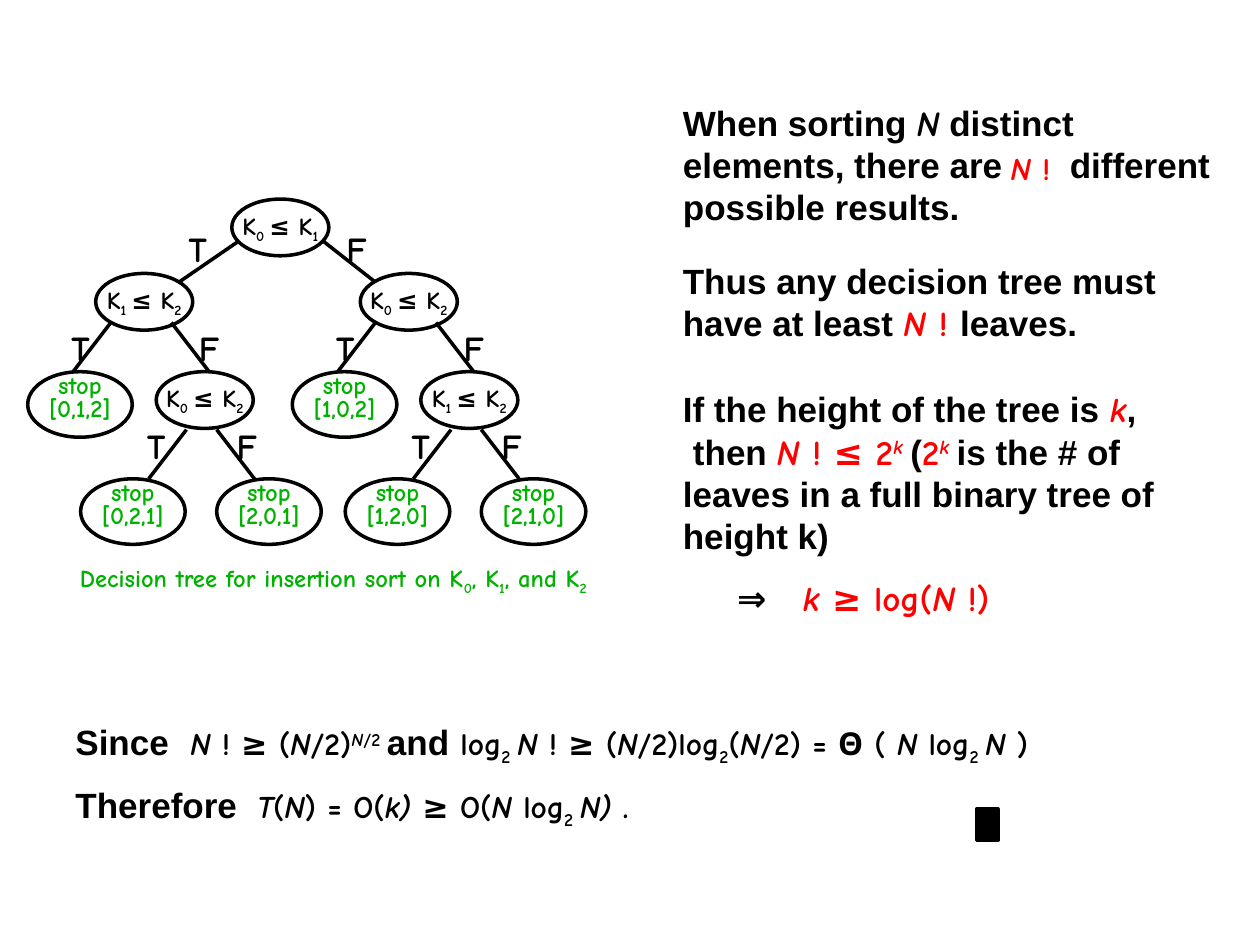
from lxml import etree
from pptx import Presentation
from pptx.dml.color import RGBColor
from pptx.enum.shapes import MSO_CONNECTOR, MSO_SHAPE
from pptx.enum.text import MSO_ANCHOR, MSO_AUTO_SIZE, PP_ALIGN
from pptx.oxml.ns import qn
from pptx.util import Pt

PX = 9144  # 100 px to the inch
COLORS = {"black": "000000", "green": "00B200", "red": "FF0000"}
BASELINES = {"_": "-25000", "^": "30000"}
CENTER, MIDDLE, TOP = PP_ALIGN.CENTER, MSO_ANCHOR.MIDDLE, MSO_ANCHOR.TOP
GROW, FIXED = MSO_AUTO_SIZE.SHAPE_TO_FIT_TEXT, MSO_AUTO_SIZE.NONE
OVAL, RECTANGLE, STRAIGHT = MSO_SHAPE.OVAL, MSO_SHAPE.RECTANGLE, MSO_CONNECTOR.STRAIGHT


def rgb(name):
    return RGBColor.from_string(COLORS[name])


def write(shape, lines, size, color="black", insets=(10, 5, 10, 5), anchor=MIDDLE,
          wrap=False, auto_size=FIXED, alignment=CENTER, spacing=None, tab=None):
    """Each line is a list of (text, flags): A Arial, i italic, r red, _ sub, ^ super."""
    frame = shape.text_frame
    left, top, right, bottom = (inset * PX for inset in insets)
    frame_format = {"margin_left": left, "margin_top": top, "margin_right": right,
                    "margin_bottom": bottom, "vertical_anchor": anchor,
                    "auto_size": auto_size, "word_wrap": wrap}
    for name, value in frame_format.items():
        setattr(frame, name, value)
    for index, runs in enumerate(lines):
        paragraph = frame.add_paragraph() if index else frame.paragraphs[0]
        paragraph.alignment = alignment
        if spacing:
            paragraph.line_spacing = spacing
        if tab:
            tab_list = etree.SubElement(paragraph._p.get_or_add_pPr(), qn("a:tabLst"))
            etree.SubElement(tab_list, qn("a:tab"), pos=str(tab * PX), algn="l")
        for text, flags in runs:
            run = paragraph.add_run()
            run.text = text
            arial = "A" in flags
            font_format = {"name": "Arial" if arial else "Comic Neue",
                           "size": Pt(20 if arial else size),
                           "bold": True, "italic": "i" in flags}
            for name, value in font_format.items():
                setattr(run.font, name, value)
            run.font.color.rgb = rgb("red" if "r" in flags else color)
            for flag, baseline in BASELINES.items():
                if flag in flags:
                    run._r.get_or_add_rPr().set("baseline", baseline)


presentation = Presentation()
presentation.slide_width, presentation.slide_height = 1000 * PX, 750 * PX
slide = presentation.slides.add_slide(presentation.slide_layouts[6])
tree = slide.shapes.add_group_shape().shapes

# Decision tree: the two subtrees share one layout, 210 px apart
SUBTREE_STEP = 210
comparisons = [(184, 158, "0", "1")]
leaves = []
branches = [(190, 191, 142, 224), (256, 191, 298, 224)]
labels = [(142, 184, 30, "T"), (268, 184, 30, "F")]
subtrees = [("1", "0", ["[0,1,2]", "[0,2,1]", "[2,0,1]"]),
            ("0", "1", ["[1,0,2]", "[1,2,0]", "[2,1,0]"])]
for index, (upper, lower, results) in enumerate(subtrees):
    shift = index * SUBTREE_STEP
    comparisons += [(76 + shift, 217, upper, "2"), (124 + shift, 295, lower, "2")]
    for (x, y), result in zip([(22, 295), (64, 380), (172, 380)], results):
        leaves.append((x + shift, y, result))
    for start, end, y in [(88, 58, 256), (136, 166, 256), (148, 118, 341), (172, 202, 341)]:
        branches.append((start + shift, y, end + shift, y + 39))
    for x, y, letter in [(52, 263, "T"), (154, 263, "F"), (112, 341, "T"), (184, 341, "F")]:
        labels.append((x + shift, y, 24, letter))

# Nodes
nodes = [(x, y, 77, 45, [[("K", ""), (first + " ", "_"), ("≤ K", ""), (second, "_")]], {})
         for x, y, first, second in comparisons]
leaf_format = {"color": "green", "insets": (10, 0, 10, 9), "spacing": 0.8}
nodes += [(x, y, 83, 52, [[("stop", "")], [(result, "")]], leaf_format)
          for x, y, result in leaves]
for x, y, width, height, lines, text_format in nodes:
    node = tree.add_shape(OVAL, x * PX, y * PX, width * PX, height * PX)
    node.shadow.inherit = False
    node.fill.background()
    node.line.color.rgb = rgb("black")
    node.line.width = Pt(2)
    write(node, lines, 14, **text_format)

# Branches and their labels
for points in branches:
    branch = tree.add_connector(STRAIGHT, *(value * PX for value in points))
    branch.line.color.rgb = rgb("black")
    branch.line.width = Pt(2)
    etree.SubElement(branch._element.spPr, qn("a:effectLst"))
for x, y, width, letter in labels:
    label = tree.add_textbox(x * PX, y * PX, width * PX, 26 * PX)
    write(label, [[(letter, "")]], 20)

# Caption
caption = tree.add_textbox(16 * PX, 437 * PX, 497 * PX, 46 * PX)
write(caption, [[("Decision tree for insertion sort on K", ""), ("0", "_"), (", K", ""),
                 ("1", "_"), (", and K", ""), ("2", "_")]], 14, color="green")

# Argument on the right and conclusion below
flush, padded, implied = (0, 5, 0, 5), (10, 5, 10, 5), (50, 5, 10, 5)
statements = [
    ((542, 76, 425, 111), 20, flush, 307, [
        [("When sorting ", "A"), ("N", "i"),
         (" distinct elements, there are\tdifferent possible results.", "A")]]),
    ((542, 201, 383, 77), 20, flush, None, [
        [("Thus any decision tree must have at least ", "A"), ("N ", "ir"), ("! ", "r"),
         ("leaves.", "A")]]),
    ((542, 303, 417, 145), 20, flush, None, [
        [("If the height of the tree is ", "A"), ("k", "ir"), (",", "A")],
        [("then ", "A"), ("N ", "ir"), ("! ≤ 2", "r"), ("k ", "ir^"), ("(", "A"),
         ("2", "r"), ("k ", "ir^"),
         ("is the # of leaves in a full binary tree of height k)", "A")]]),
    ((535, 453, 308, 44), 20, implied, 52, [
        [("⇒\t", ""), ("k ", "ir"), ("≥ log(", "r"), ("N ", "ir"), ("!)", "r")]]),
    ((50, 567, 908, 44), 18, padded, 91, [
        [("Since", "A"), ("\t", ""), ("N ", "i"), ("! ≥ (", ""), ("N", "i"), ("/2)", ""),
         ("N", "i^"), ("/2 ", "^"), ("and", "A"), (" log", ""), ("2 ", "_"), ("N ", "i"),
         ("! ≥ (", ""), ("N", "i"), ("/2)log", ""), ("2", "_"), ("(", ""), ("N", "i"),
         ("/2) = Θ ( ", ""), ("N", "i"), (" log", ""), ("2 ", "_"), ("N", "i"),
         (" )", "")]]),
    ((50, 617, 908, 44), 18, padded, 144, [
        [("Therefore\t", "A"), ("T", "i"), ("(", ""), ("N", "i"), (") = O(", ""),
         ("k) ", "i"), ("≥ O(", ""), ("N", "i"), (" log", ""), ("2 ", "_"), ("N)", "i"),
         (" .", "")]]),
]
for box, size, insets, tab, lines in statements:
    statement = slide.shapes.add_textbox(*(value * PX for value in box))
    write(statement, lines, size, insets=insets, anchor=TOP, wrap=True,
          auto_size=GROW, alignment=PP_ALIGN.LEFT, tab=tab)
    if len(lines) > 1:  # the second line starts slightly indented
        statement.text_frame.paragraphs[1]._p.get_or_add_pPr().set("indent", str(8 * PX))

# End-of-proof mark
proof_mark = slide.shapes.add_shape(RECTANGLE, 775 * PX, 642 * PX, 17 * PX, 25 * PX)
proof_mark.shadow.inherit = False
proof_mark.fill.solid()
proof_mark.fill.fore_color.rgb = rgb("black")
proof_mark.line.color.rgb = rgb("black")
proof_mark.line.width = Pt(2)

# Factorial set in the gap of the first statement
factorial = slide.shapes.add_textbox(792 * PX, 113 * PX, 57 * PX, 40 * PX)
write(factorial, [[("N ", "ir"), ("!", "r")]], 18, anchor=TOP, auto_size=GROW,
      alignment=PP_ALIGN.LEFT)

presentation.save("out.pptx")
